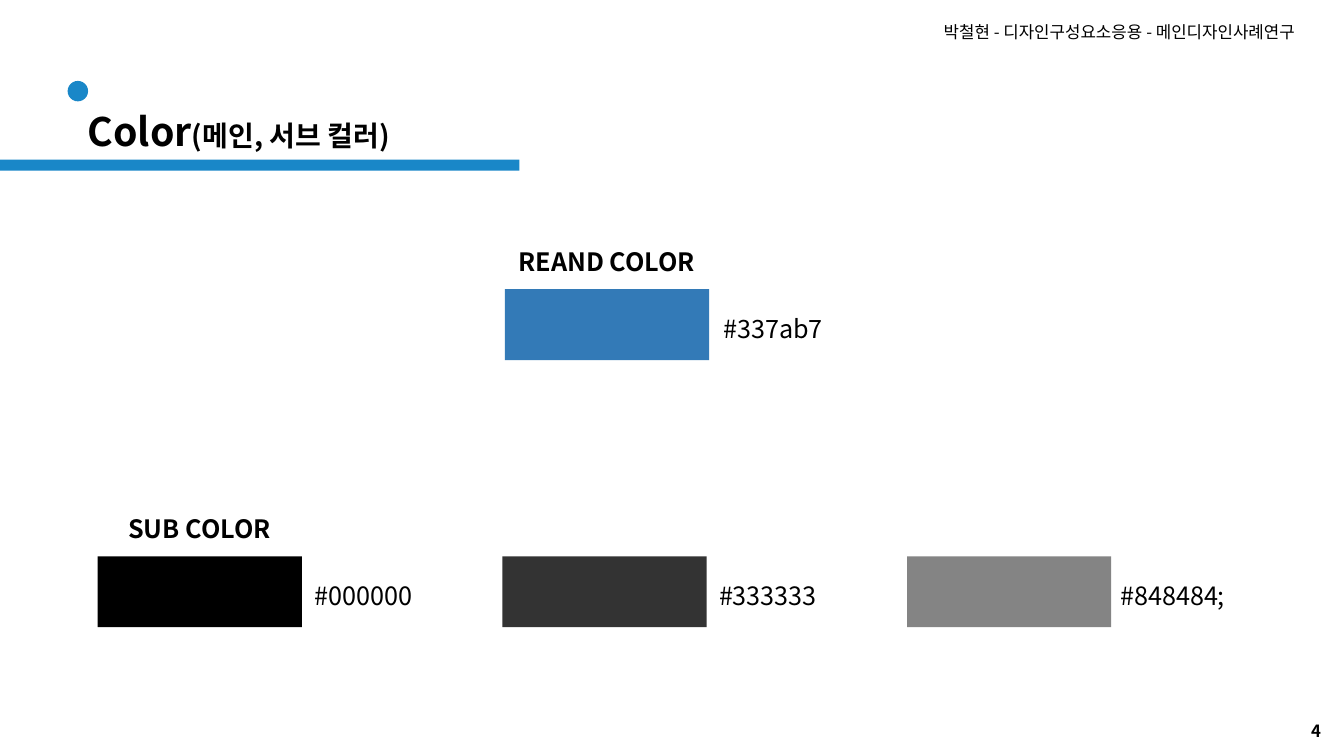
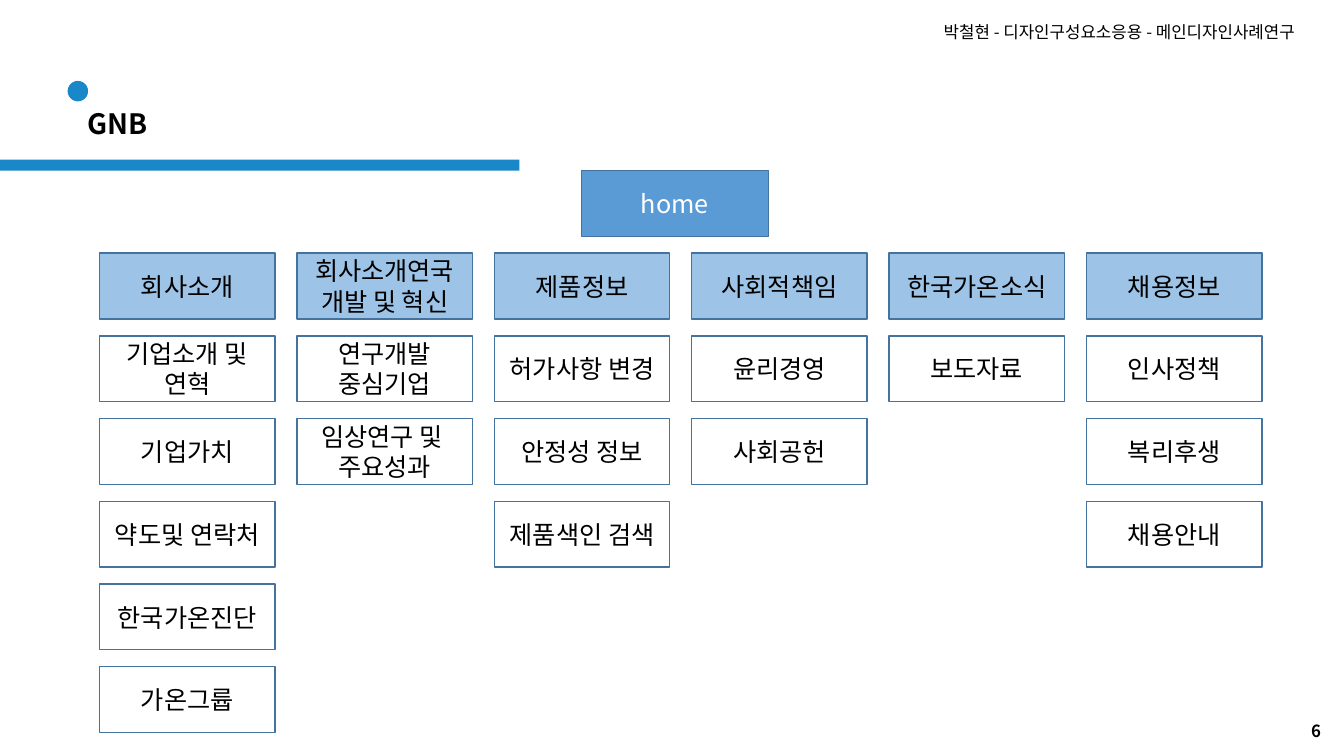
"""Build the colour and site menu slides."""
from dataclasses import dataclass

from lxml.etree import SubElement
from pptx import Presentation
from pptx.dml.color import RGBColor
from pptx.enum.shapes import MSO_SHAPE
from pptx.enum.text import MSO_ANCHOR, MSO_AUTO_SIZE, PP_ALIGN
from pptx.oxml.ns import qn
from pptx.slide import Slide
from pptx.text.text import TextFrame
from pptx.util import Pt


@dataclass(frozen=True)
class Theme:
    """Colours, font and type sizes."""
    font: str = "Noto Sans CJK KR"
    accent: str = "1987C8"
    black: str = "000000"
    white: str = "FFFFFF"
    home: str = "5B9BD5"
    menu: str = "9DC3E6"
    edge: str = "43739E"
    small: int = 12
    text: int = 18
    title: int = 20
    large: int = 28


@dataclass(frozen=True)
class Box:
    """A place on the slide in points."""
    left: float
    top: float
    width: float
    height: float


@dataclass(frozen=True)
class Span:
    """A run of text with its look."""
    text: str
    size: int
    bold: bool = False
    color: str = "000000"


@dataclass(frozen=True)
class Swatch:
    """A colour sample with its code and optional heading."""
    left: float
    top: float
    color: str
    code: str
    head: str = ""
    shift: float = 115.5


THEME = Theme()
HEADER = "박철현 - 디자인구성요소응용 - 메인디자인사례연구"
SWATCHES = [
    Swatch(360.7, 206.6, "337AB7", "#337ab7", "REAND COLOR", 117.4),
    *(Swatch(69.8 + 289.1 * i, 397.4, color, code, head)
      for i, (color, code, head) in enumerate([
          ("000000", "#000000", "SUB COLOR"),
          ("333333", "#333333", ""),
          ("848484", "#848484;", ""),
      ])),
]
MENU = [
    ["회사소개", "기업소개 및 연혁", "기업가치", "약도및 연락처",
     "한국가온진단", "가온그륩"],
    ["회사소개연국개발 및 혁신", "연구개발 중심기업", "임상연구 및 \n주요성과"],
    ["제품정보", "허가사항 변경", "안정성 정보", "제품색인 검색"],
    ["사회적책임", "윤리경영", "사회공헌"],
    ["한국가온소식", "보도자료"],
    ["채용정보", "인사정책", "복리후생", "채용안내"],
]


def write(frame: TextFrame, lines: list[list[Span]],
          align: PP_ALIGN = PP_ALIGN.LEFT) -> None:
    """Fill a frame line by line and run by run."""
    frame.word_wrap = True
    for i, line in enumerate(lines):
        para = frame.add_paragraph() if i else frame.paragraphs[0]
        para.alignment = align
        for span in line:
            run = para.add_run()
            run.text = span.text
            font = run.font
            font.name = THEME.font
            font.size = Pt(span.size)
            font.bold = span.bold
            font.color.rgb = RGBColor.from_string(span.color)
            SubElement(run._r.get_or_add_rPr(), qn("a:ea"), typeface=THEME.font)


def label(slide: Slide, box: Box, span: Span,
          align: PP_ALIGN = PP_ALIGN.LEFT) -> None:
    """Add a line of text."""
    frame = slide.shapes.add_textbox(
        Pt(box.left), Pt(box.top), Pt(box.width), Pt(box.height)).text_frame
    write(frame, [[span]], align)
    frame.auto_size = MSO_AUTO_SIZE.SHAPE_TO_FIT_TEXT


def panel(slide: Slide, box: Box, fill: str, edge: str = "",
          text: str = "", color: str = THEME.black,
          kind: MSO_SHAPE = MSO_SHAPE.RECTANGLE) -> None:
    """Add a filled shape with optional edge and centred text."""
    shape = slide.shapes.add_shape(
        kind, Pt(box.left), Pt(box.top), Pt(box.width), Pt(box.height))
    shape.shadow.inherit = False
    shape.fill.solid()
    shape.fill.fore_color.rgb = RGBColor.from_string(fill)
    if edge:
        shape.line.color.rgb = RGBColor.from_string(edge)
        shape.line.width = Pt(1)
    else:
        shape.line.fill.background()
    if text:
        shape.text_frame.vertical_anchor = MSO_ANCHOR.MIDDLE
        lines = [[Span(part, THEME.text, color=color)]
                 for part in text.split("\n")]
        write(shape.text_frame, lines, PP_ALIGN.CENTER)


def start(deck: Presentation, page: int, title: list[Span]) -> Slide:
    """Add a slide with title, band, header and page number."""
    slide = deck.slides.add_slide(deck.slide_layouts[5])
    panel(slide, Box(0, 114, 371, 8), THEME.accent)
    panel(slide, Box(48.3, 57.8, 14.6, 14.6), THEME.accent,
          kind=MSO_SHAPE.OVAL)
    label(slide, Box(667, 12.2, 293, 21.8), Span(HEADER, THEME.small))
    label(slide, Box(929.5, 511.2, 30.5, 21.8),
          Span(str(page), THEME.small, True))
    name = slide.shapes.title
    name.left, name.top = Pt(55.5), Pt(72.7)
    name.width, name.height = Pt(526), Pt(41.2)
    name.text_frame.vertical_anchor = MSO_ANCHOR.TOP
    name.text_frame.auto_size = MSO_AUTO_SIZE.NONE
    write(name.text_frame, [title])
    return slide


def sample(slide: Slide, item: Swatch) -> None:
    """Draw a colour sample with its labels."""
    panel(slide, Box(item.left, item.top, 145.8, 50.6), item.color)
    label(slide, Box(item.left + item.shift, item.top + 13.4, 148.3, 29),
          Span(item.code, THEME.text), PP_ALIGN.CENTER)
    if item.head:
        label(slide, Box(item.left - 1.4, item.top - 34.2, 148.3, 29),
              Span(item.head, THEME.text, True), PP_ALIGN.CENTER)


def chart(slide: Slide) -> None:
    """Draw the home box and the menu grid below it."""
    panel(slide, Box(415.4, 121.9, 133.4, 47), THEME.home, THEME.edge,
          "home", THEME.white)
    for col, names in enumerate(MENU):
        for row, name in enumerate(names):
            box = Box(71.1 + 141 * col, 180.8 + 59.1 * row, 125.3, 47)
            fill = THEME.white if row else THEME.menu
            panel(slide, box, fill, THEME.edge, name)


def main() -> None:
    """Build and save the deck."""
    deck = Presentation()
    deck.slide_width, deck.slide_height = Pt(960), Pt(540)
    slide = start(deck, 4, [Span("Color", THEME.large, True),
                            Span("(메인, 서브 컬러)", THEME.title, True)])
    for item in SWATCHES:
        sample(slide, item)
    chart(start(deck, 6, [Span("GNB", THEME.title, True)]))
    deck.save("out.pptx")


if __name__ == "__main__":
    main()
